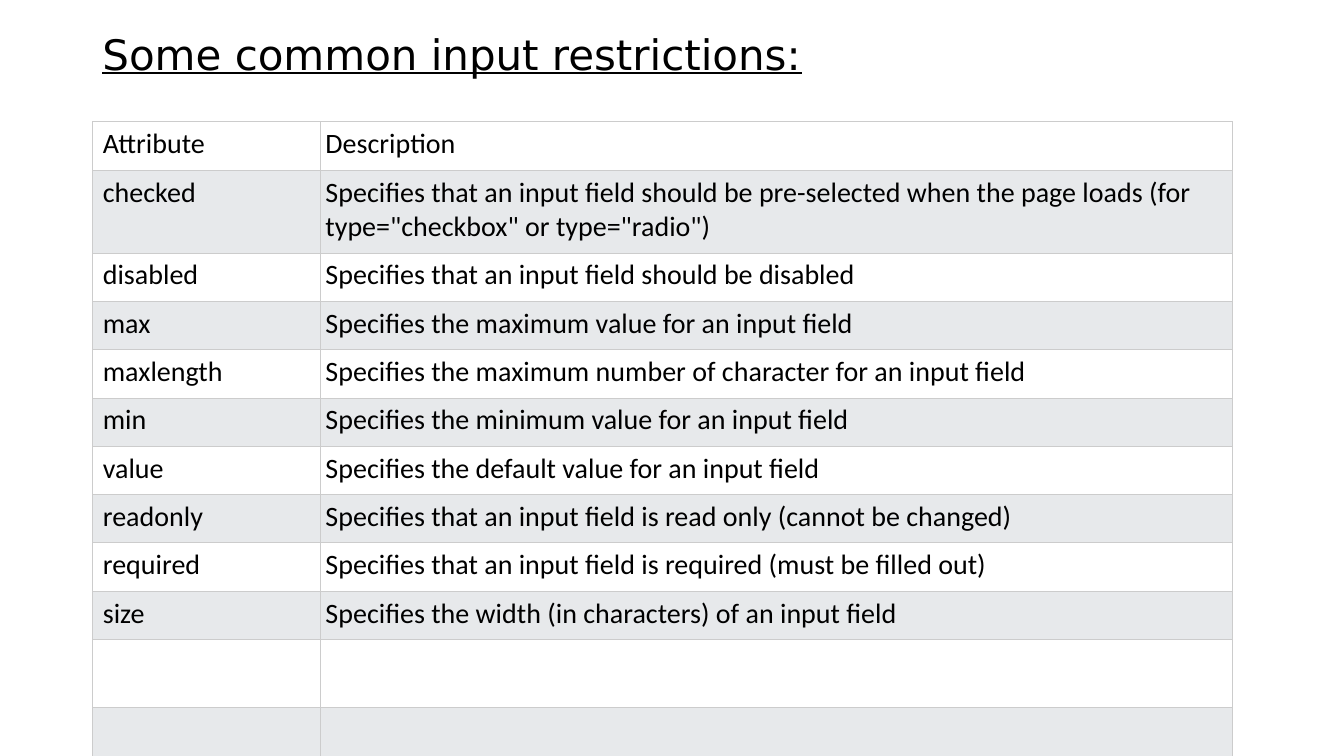
from typing import NamedTuple

from lxml.etree import SubElement
from pptx import Presentation
from pptx.dml.color import RGBColor
from pptx.enum.text import MSO_ANCHOR, MSO_AUTO_SIZE, PP_ALIGN
from pptx.oxml.ns import qn
from pptx.util import Emu, Pt

BLACK, WHITE, GREY = "000000", "FFFFFF", "E7E9EB"
EDGE, FOOT = "CCCCCC", "DDDDDD"


class Row(NamedTuple):
    name: str = ""
    text: str = ""
    high: int = 46


ROWS = [
    Row("Attribute", "Description"),
    Row("checked", "Specifies that an input field should be pre-selected when the page loads "
        '(for type="checkbox" or type="radio")', 79),
    Row("disabled", "Specifies that an input field should be disabled"),
    Row("max", "Specifies the maximum value for an input field"),
    Row("maxlength", "Specifies the maximum number of character for an input field"),
    Row("min", "Specifies the minimum value for an input field"),
    Row("value", "Specifies the default value for an input field"),
    Row("readonly", "Specifies that an input field is read only (cannot be changed)"),
    Row("required", "Specifies that an input field is required (must be filled out)"),
    Row("size", "Specifies the width (in characters) of an input field"),
    Row(high=65),
    Row(),
]
WIDTHS = [217, 869]
PADS = [10, 5]


def px(n: int) -> Emu:
    return Emu(n * 9525)


def rgb(code: str) -> RGBColor:
    return RGBColor.from_string(code)


def add_run(para, text: str, face: str, size: int, line: bool = False) -> None:
    run = para.add_run()
    run.text = text
    font = run.font
    font.name, font.size = face, Pt(size)
    font.underline = line
    font.color.rgb = rgb(BLACK)


def add_edges(cell, foot: str) -> None:
    # Borders must come before the fill in the cell properties
    props = cell._tc.get_or_add_tcPr()
    for spot, side in enumerate("LRTB"):
        edge = SubElement(props, qn(f"a:ln{side}"), w=str(Pt(0.5)))
        fill = SubElement(edge, qn("a:solidFill"))
        SubElement(fill, qn("a:srgbClr"), val=foot if side == "B" else EDGE)
        props.insert(spot, edge)


def fill_cell(cell, text: str, pad: int, shade: str, foot: str) -> None:
    cell.margin_left = px(pad)
    cell.margin_right = cell.margin_top = cell.margin_bottom = px(5)
    cell.fill.solid()
    cell.fill.fore_color.rgb = rgb(shade)
    add_edges(cell, foot)
    if text:
        add_run(cell.text_frame.paragraphs[0], text, "Calibri", 20)


def add_title(slide) -> None:
    title = slide.shapes.title
    title.left, title.top, title.width, title.height = map(px, (88, 38, 1104, 33))
    frame = title.text_frame
    frame.word_wrap = True
    frame.auto_size = MSO_AUTO_SIZE.NONE
    frame.vertical_anchor = MSO_ANCHOR.MIDDLE
    para = frame.paragraphs[0]
    para.alignment = PP_ALIGN.LEFT
    para.line_spacing = 0.9
    add_run(para, "Some common input restrictions:", "DejaVu Sans", 30, True)


def add_grid(slide) -> None:
    high = sum(row.high for row in ROWS)
    table = slide.shapes.add_table(len(ROWS), len(WIDTHS), px(88), px(116),
                                   px(sum(WIDTHS)), px(high)).table
    table.first_row = table.horz_banding = False
    for col, wide in zip(table.columns, WIDTHS):
        col.width = px(wide)
    for i, row in enumerate(ROWS):
        table.rows[i].height = px(row.high)
        shade = GREY if i % 2 else WHITE
        foot = FOOT if i == len(ROWS) - 1 else EDGE
        for j, text in enumerate((row.name, row.text)):
            fill_cell(table.cell(i, j), text, PADS[j], shade, foot)


def main() -> None:
    deck = Presentation()
    deck.slide_width, deck.slide_height = px(1280), px(720)
    slide = deck.slides.add_slide(deck.slide_layouts[5])
    # Heading
    add_title(slide)
    # Attribute table
    add_grid(slide)
    deck.save("out.pptx")


if __name__ == "__main__":
    main()
